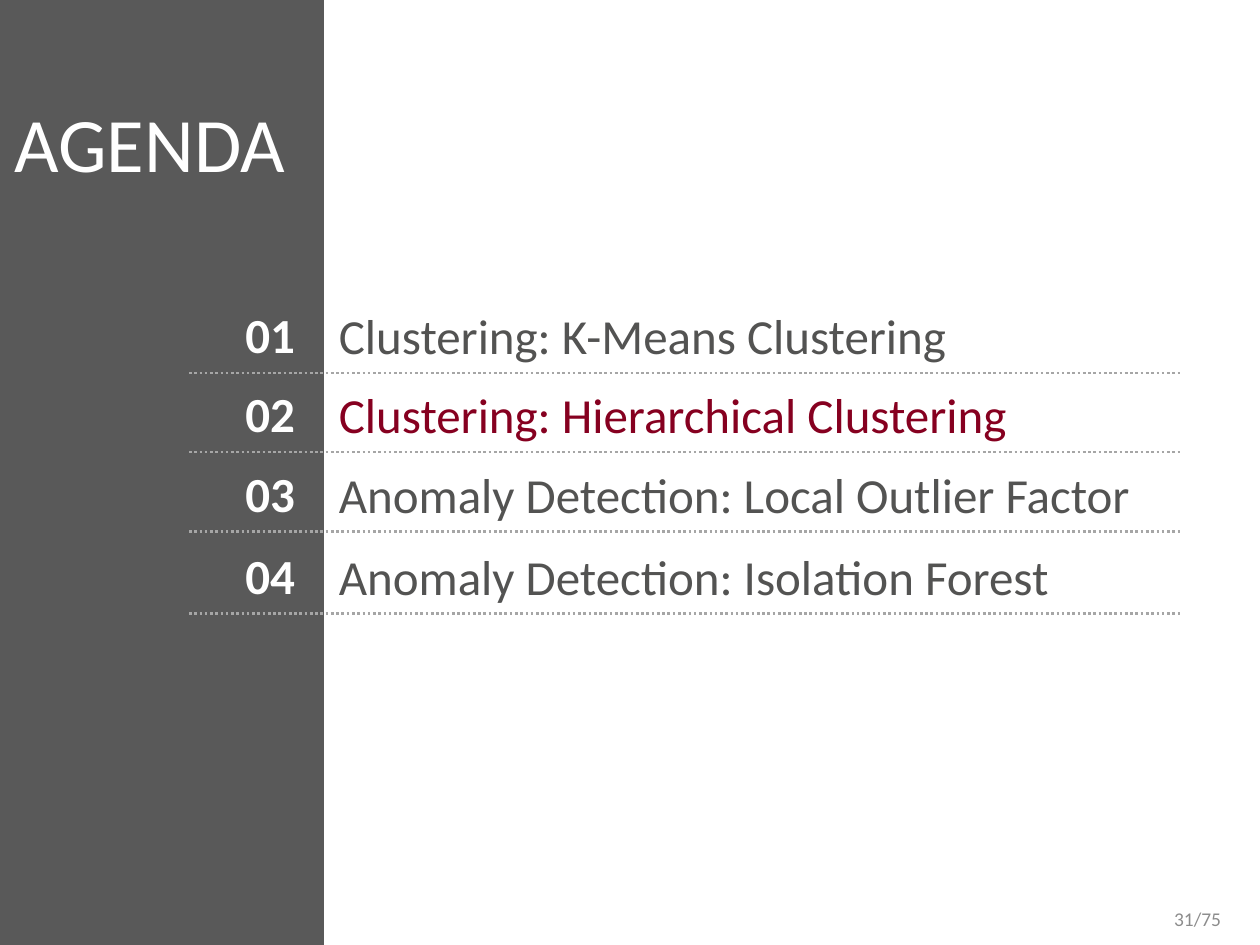
import pptx
import pptx.util
import pptx.dml.color
import pptx.enum.dml
import pptx.enum.shapes
import pptx.enum.text
import pptx.oxml.ns
import lxml.etree

Pt = pptx.util.Pt
ALIGN = pptx.enum.text.PP_ALIGN
ANCHOR = pptx.enum.text.MSO_ANCHOR

GREY, WHITE, INK, RED = "595959", "FFFFFF", "535352", "860020"
RULE, PALE = "A6A6A6", "8C8C8C"

# text, y of the rule below it, text width, colour
ROWS = [
    ("Clustering: K-Means Clustering", 213.1, 408, INK),
    ("Clustering: Hierarchical Clustering", 258.4, 495, RED),
    ("Anomaly Detection: Local Outlier Factor", 303.8, 482, INK),
    ("Anomaly Detection: Isolation Forest", 350.6, 482, INK),
]


def paint(text):
    return pptx.dml.color.RGBColor.from_string(text)


def write(frame, text, size=28, color=INK, bold=False, align=ALIGN.LEFT,
          anchor=ANCHOR.MIDDLE, pad=(7.2, 3.6, 7.2, 3.6), wrap=True):
    """Fill a text frame; pad is left, top, right, bottom."""
    frame.word_wrap = wrap
    frame.auto_size = pptx.enum.text.MSO_AUTO_SIZE.NONE
    frame.vertical_anchor = anchor
    (frame.margin_left, frame.margin_top,
     frame.margin_right, frame.margin_bottom) = map(Pt, pad)
    para = frame.paragraphs[0]
    para.alignment = align
    run = para.add_run()
    run.text = text
    font = run.font
    font.name, font.size, font.bold = "Calibri", Pt(size), bold
    font.color.rgb = paint(color)


class Page:
    """Holds the slide and draws each kind of element on it."""

    def __init__(self, deck):
        self.slide = deck.slides.add_slide(deck.slide_layouts[5])
        self.shapes = self.slide.shapes

    def title(self, text, x, y, w, h, **style):
        box = self.shapes.title
        box.left, box.top, box.width, box.height = map(Pt, (x, y, w, h))
        write(box.text_frame, text, **style)

    def panel(self, x, y, w, h, color):
        """Draw a plain rectangle behind the title."""
        kind = pptx.enum.shapes.MSO_SHAPE.RECTANGLE
        box = self.shapes.add_shape(kind, *map(Pt, (x, y, w, h)))
        box.shadow.inherit = False
        box.fill.solid()
        box.fill.fore_color.rgb = paint(color)
        box.line.fill.background()
        self.shapes.title.element.addprevious(box.element)

    def text(self, text, x, y, w, h, **style):
        box = self.shapes.add_textbox(*map(Pt, (x, y, w, h)))
        write(box.text_frame, text, **style)

    def rule(self, x, y, end):
        """Draw a dotted level line."""
        kind = pptx.enum.shapes.MSO_CONNECTOR.STRAIGHT
        rule = self.shapes.add_connector(kind, *map(Pt, (x, y, end, y)))
        rule.line.color.rgb = paint(RULE)
        rule.line.width = Pt(1.5)
        rule.line.dash_style = pptx.enum.dml.MSO_LINE.ROUND_DOT
        tag = pptx.oxml.ns.qn("a:effectLst")
        lxml.etree.SubElement(rule.element.spPr, tag)


def main():
    deck = pptx.Presentation()
    deck.slide_width, deck.slide_height = Pt(720), Pt(540)
    page = Page(deck)

    page.title("AGENDA", -20.9, 54.7, 213, 53.3, size=44, color=WHITE,
               align=ALIGN.CENTER, anchor=ANCHOR.TOP, pad=(0, 0, 0, 0))
    page.panel(-30.2, 0, 215.3, 540, GREY)

    for count, (text, y, width, color) in enumerate(ROWS, 1):
        page.text(f"{count:02}", 96.5, y - 42.8, 79.2, 41, color=WHITE,
                  bold=True, align=ALIGN.RIGHT)
        page.rule(108, y, 675.4)
        page.text(text, 193.7, y - 35.6, width, 28, color=color,
                  pad=(0, 3.6, 7.2, 3.6), wrap=False)

    page.text("31/75", 542.9, 514.1, 162, 21.6, size=11.1, color=PALE,
              align=ALIGN.RIGHT)
    deck.save("out.pptx")


if __name__ == "__main__":
    main()
